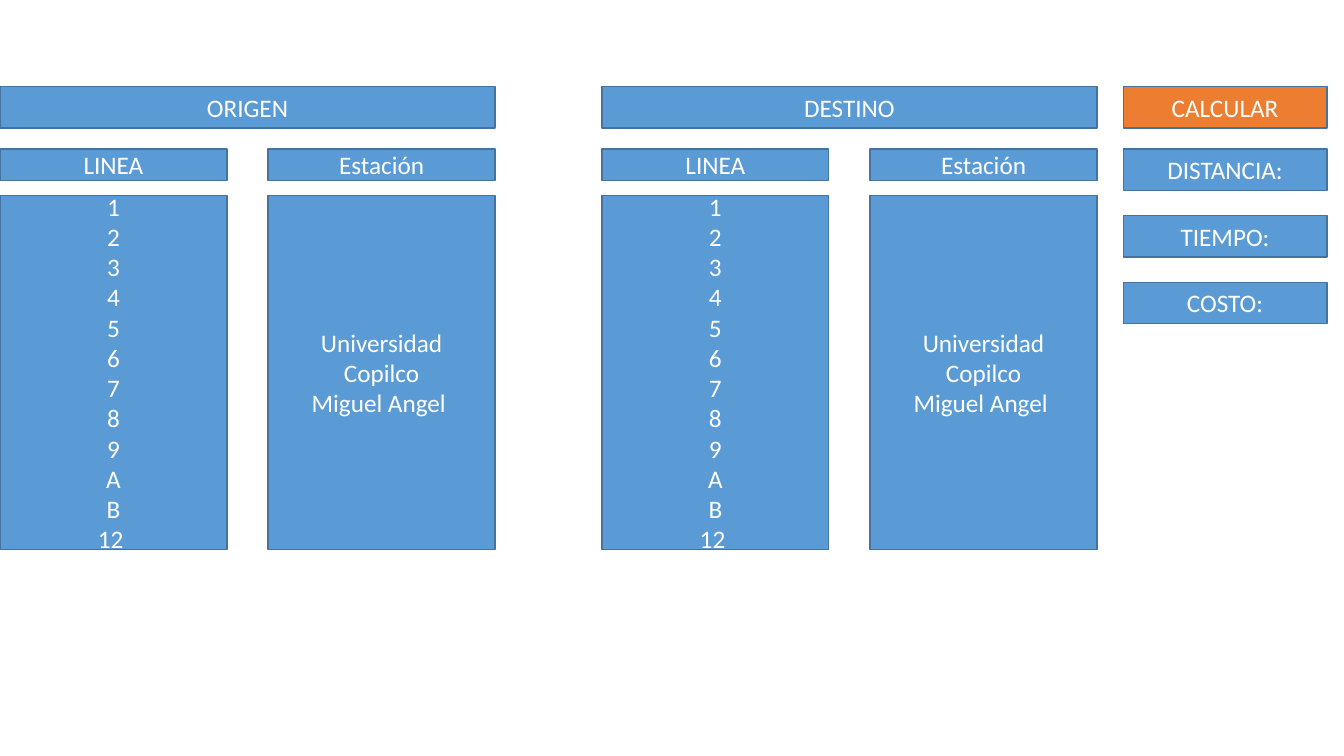
import pptx
import pptx.util
from pptx.dml.color import RGBColor
from pptx.enum.shapes import MSO_SHAPE
from pptx.enum.text import MSO_ANCHOR, PP_ALIGN
from pptx.util import Inches

BLUE = RGBColor(0x5B, 0x9B, 0xD5)
ORANGE = RGBColor(0xED, 0x7D, 0x31)
OUTLINE = RGBColor(0x43, 0x73, 0x9E)
WHITE = RGBColor(0xFF, 0xFF, 0xFF)

LINES = [*"123456789AB", "12 "]
STATIONS = ["Universidad", "Copilco", "Miguel Angel "]


class Deck:
    """Holds the box style and the current slide."""

    font = {"name": "Calibri", "size": pptx.util.Pt(18)}
    frame = {"word_wrap": True, "vertical_anchor": MSO_ANCHOR.MIDDLE}

    def __init__(self, prs):
        self.s = prs.slides.add_slide(prs.slide_layouts[6])

    def box(self, left, top, width, height, lines, fill=BLUE):
        sp = self.s.shapes.add_shape(
            MSO_SHAPE.RECTANGLE,
            Inches(left), Inches(top), Inches(width), Inches(height))
        sp.shadow.inherit = False
        sp.fill.solid()
        sp.fill.fore_color.rgb = fill
        sp.line.color.rgb = OUTLINE
        sp.line.width = pptx.util.Pt(1)
        tf = sp.text_frame
        for key, value in self.frame.items():
            setattr(tf, key, value)
        for i, line in enumerate(lines):
            p = tf.add_paragraph() if i else tf.paragraphs[0]
            p.alignment = PP_ALIGN.CENTER
            r = p.add_run()
            r.text = line
            r.font.color.rgb = WHITE
            for key, value in self.font.items():
                setattr(r.font, key, value)

    def column(self, left, heading, items):
        self.box(left, 1.48, 2.25, 0.31, [heading])
        self.box(left, 1.94, 2.25, 3.51, items)

    def selector(self, left, title):
        self.box(left, 0.86, 4.91, 0.41, [title])
        self.column(left, "LINEA", LINES)
        self.column(left + 2.66, "Estación", STATIONS)

    def button(self, top, label, fill=BLUE):
        self.box(11.14, top, 2.02, 0.41, [label], fill)


def main():
    prs = pptx.Presentation()
    prs.slide_width, prs.slide_height = Inches(13.33), Inches(7.5)
    deck = Deck(prs)

    # Origin and destination selectors
    deck.selector(0, "ORIGEN")
    deck.selector(5.97, "DESTINO")

    # Calculate button and result fields
    deck.button(0.86, "CALCULAR", ORANGE)
    for i, label in enumerate(["DISTANCIA:", "TIEMPO:", "COSTO:"]):
        deck.button(1.48 + i * 0.66, label)

    prs.save("out.pptx")


if __name__ == "__main__":
    main()
